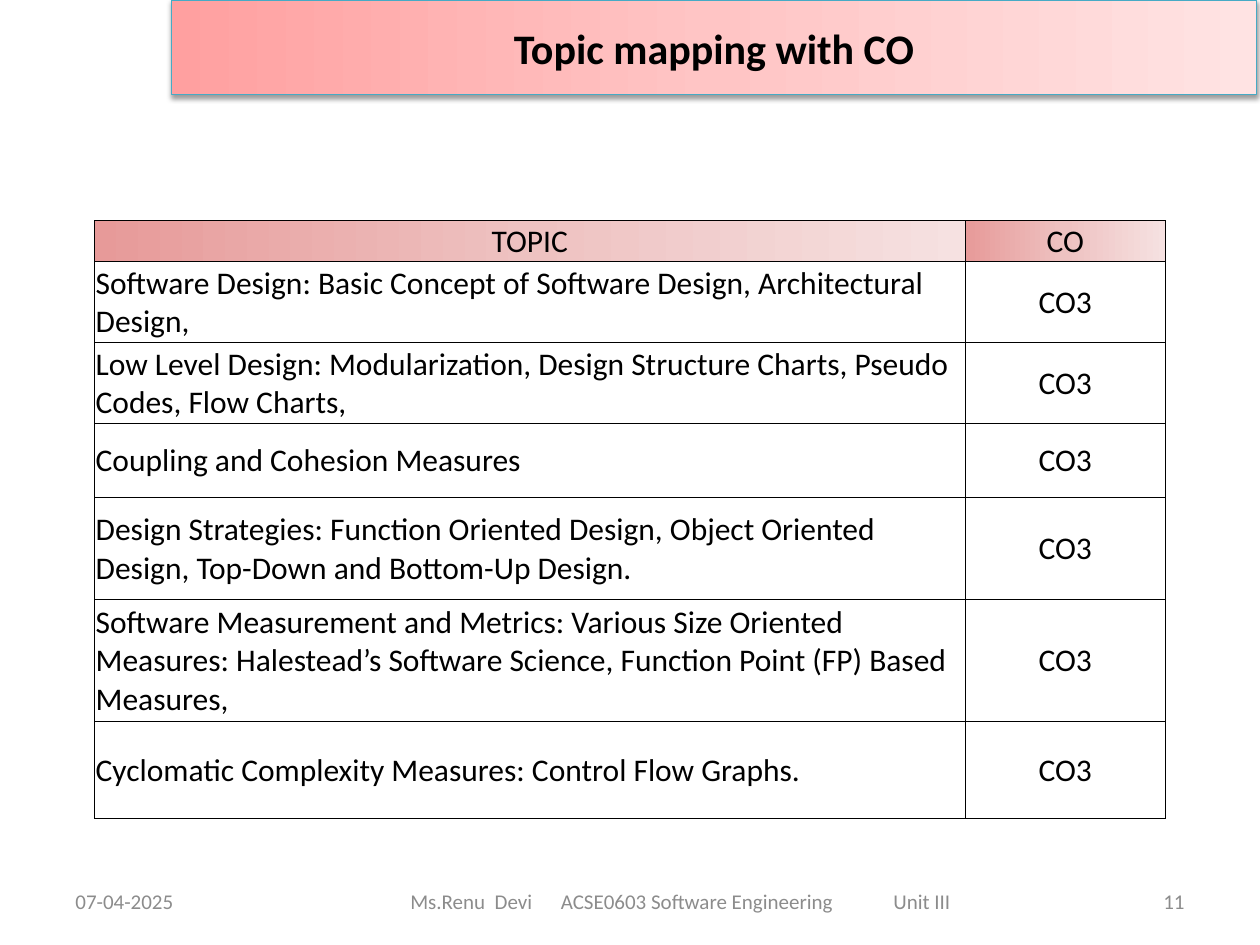
from lxml.etree import SubElement
from pptx import Presentation
from pptx.dml.color import RGBColor
from pptx.enum.text import MSO_ANCHOR, MSO_AUTO_SIZE, PP_ALIGN
from pptx.oxml.ns import qn
from pptx.util import Pt

TITLE_GRADIENT = ["FFA0A0", "FFC5C5", "FFE3E3"]
HEADER_GRADIENT = ["E79A99", "EEC2C1", "F6E1E1"]
COLUMN_WIDTHS = [497.5, 114.5]
ROW_HEIGHTS = [23.4, 46.3, 46.3, 42.3, 58.3, 69.7, 55.7]
TOPICS = [
    "Software Design: Basic Concept of Software Design, Architectural Design,",
    "Low Level Design: Modularization, Design Structure Charts, Pseudo Codes, Flow Charts,",
    "Coupling and Cohesion Measures",
    "Design Strategies: Function Oriented Design, Object Oriented Design, "
    "Top-Down and Bottom-Up Design.",
    "Software Measurement and Metrics: Various Size Oriented Measures: "
    "Halestead’s Software Science, Function Point (FP) Based Measures,",
    "Cyclomatic Complexity Measures: Control Flow Graphs.",
]


def rgb(color):
    return RGBColor.from_string(color)


def add_color(parent, color):
    return SubElement(parent, qn("a:srgbClr"), val=color)


def set_gradient(fill, element, colors):
    """Fill left to right with evenly spaced colour stops."""
    fill.gradient()
    fill.gradient_angle = 0
    stops = element.find(".//" + qn("a:gsLst"))
    for stop in list(stops):
        stops.remove(stop)
    for i, color in enumerate(colors):
        position = 100000 * i // (len(colors) - 1)
        add_color(SubElement(stops, qn("a:gs"), pos=str(position)), color)


def set_borders(cell, color, width):
    tc_pr = cell._tc.get_or_add_tcPr()
    for i, side in enumerate(["lnL", "lnR", "lnT", "lnB"]):
        line = SubElement(tc_pr, qn("a:" + side), w=str(Pt(width)))
        add_color(SubElement(line, qn("a:solidFill")), color)
        tc_pr.insert(i, line)


def add_shadow(shape, color, alpha, blur, distance):
    """Cast a soft shadow straight down."""
    shape.shadow.inherit = False
    effects = shape._element.spPr.find(qn("a:effectLst"))
    shadow = SubElement(effects, qn("a:outerShdw"), blurRad=str(Pt(blur)),
                        dist=str(Pt(distance)), dir="5400000", rotWithShape="0")
    SubElement(add_color(shadow, color), qn("a:alpha"), val=str(alpha * 1000))


class SlideBuilder:
    font = "Calibri"
    ink = "000000"
    muted = "8C8C8C"

    def __init__(self, slide):
        self.s = slide

    def text(self, tf, text, size, align=PP_ALIGN.LEFT, color=ink, bold=False, tabs=()):
        p = tf.paragraphs[0]
        p.alignment = align
        if tabs:
            tab_list = SubElement(p._p.get_or_add_pPr(), qn("a:tabLst"))
            for position in tabs:
                SubElement(tab_list, qn("a:tab"), pos=str(Pt(position)), algn="l")
        r = p.add_run()
        r.text = text
        for name, value in {"name": self.font, "size": Pt(size), "bold": bold}.items():
            setattr(r.font, name, value)
        r.font.color.rgb = rgb(color)

    def title(self, text, left, top, width, height):
        sp = self.s.shapes.title
        box = {"left": left, "top": top, "width": width, "height": height}
        for name, value in box.items():
            setattr(sp, name, Pt(value))
        set_gradient(sp.fill, sp._element.spPr, TITLE_GRADIENT)
        sp.line.color.rgb = rgb("46AAC5")
        sp.line.width = Pt(0.75)
        add_shadow(sp, self.ink, 38, 3.1, 1.6)
        tf = sp.text_frame
        tf.auto_size = MSO_AUTO_SIZE.NONE
        tf.vertical_anchor = MSO_ANCHOR.MIDDLE
        self.text(tf, text, 24, PP_ALIGN.CENTER, bold=True)

    def footer(self, text, left, width, align=PP_ALIGN.LEFT, indent=7.2, tabs=()):
        sp = self.s.shapes.add_textbox(Pt(left), Pt(500.5), Pt(width), Pt(28.75))
        tf = sp.text_frame
        tf.word_wrap = True
        tf.vertical_anchor = MSO_ANCHOR.MIDDLE
        tf.margin_left = Pt(indent)
        self.text(tf, text, 12, align, self.muted, tabs=tabs)

    def cell(self, cell, text, align, is_header):
        margins = {"margin_left": 0.7, "margin_right": 0.7,
                   "margin_top": 0.7, "margin_bottom": 0}
        for name, value in margins.items():
            setattr(cell, name, Pt(value))
        cell.vertical_anchor = MSO_ANCHOR.MIDDLE
        if is_header:
            set_gradient(cell.fill, cell._tc, HEADER_GRADIENT)
        else:
            cell.fill.solid()
            cell.fill.fore_color.rgb = rgb("FFFFFF")
        set_borders(cell, self.ink, 0.5)
        self.text(cell.text_frame, text, 18, align)

    def table(self, rows, left, top):
        frame = self.s.shapes.add_table(
            len(rows), len(COLUMN_WIDTHS), Pt(left), Pt(top),
            Pt(sum(COLUMN_WIDTHS)), Pt(sum(ROW_HEIGHTS)))
        table = frame.table
        table.first_row = table.horz_banding = False
        for column, width in zip(table.columns, COLUMN_WIDTHS):
            column.width = Pt(width)
        for i, (values, height) in enumerate(zip(rows, ROW_HEIGHTS)):
            table.rows[i].height = Pt(height)
            for j, text in enumerate(values):
                is_topic = i > 0 and j == 0
                align = PP_ALIGN.LEFT if is_topic else PP_ALIGN.CENTER
                self.cell(table.cell(i, j), text, align, i == 0)


def main():
    prs = Presentation()
    prs.slide_width, prs.slide_height = Pt(720), Pt(540)
    builder = SlideBuilder(prs.slides.add_slide(prs.slide_layouts[5]))
    builder.title("Topic mapping with CO", 98, 0, 620, 54)
    rows = [("TOPIC", "CO")] + [(topic, "CO3") for topic in TOPICS]
    builder.table(rows, 54, 126)
    builder.footer("07-04-2025", 36, 168)
    builder.footer("Ms.Renu  Devi\tACSE0603 Software Engineering\tUnit III",
                   198, 396, indent=36.5, tabs=(86, 276))
    builder.footer("11", 516, 168, PP_ALIGN.RIGHT)
    prs.save("out.pptx")


if __name__ == "__main__":
    main()
